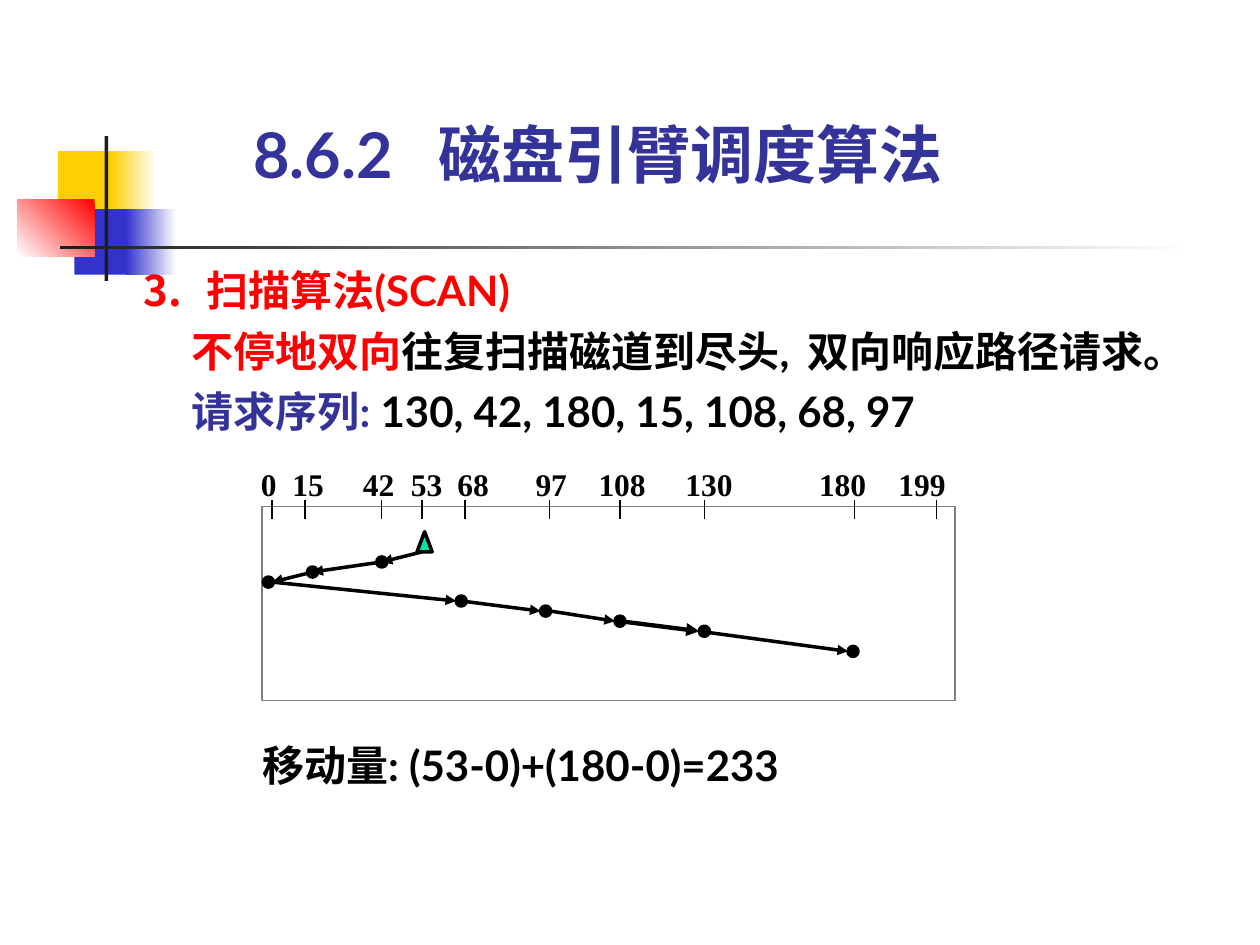
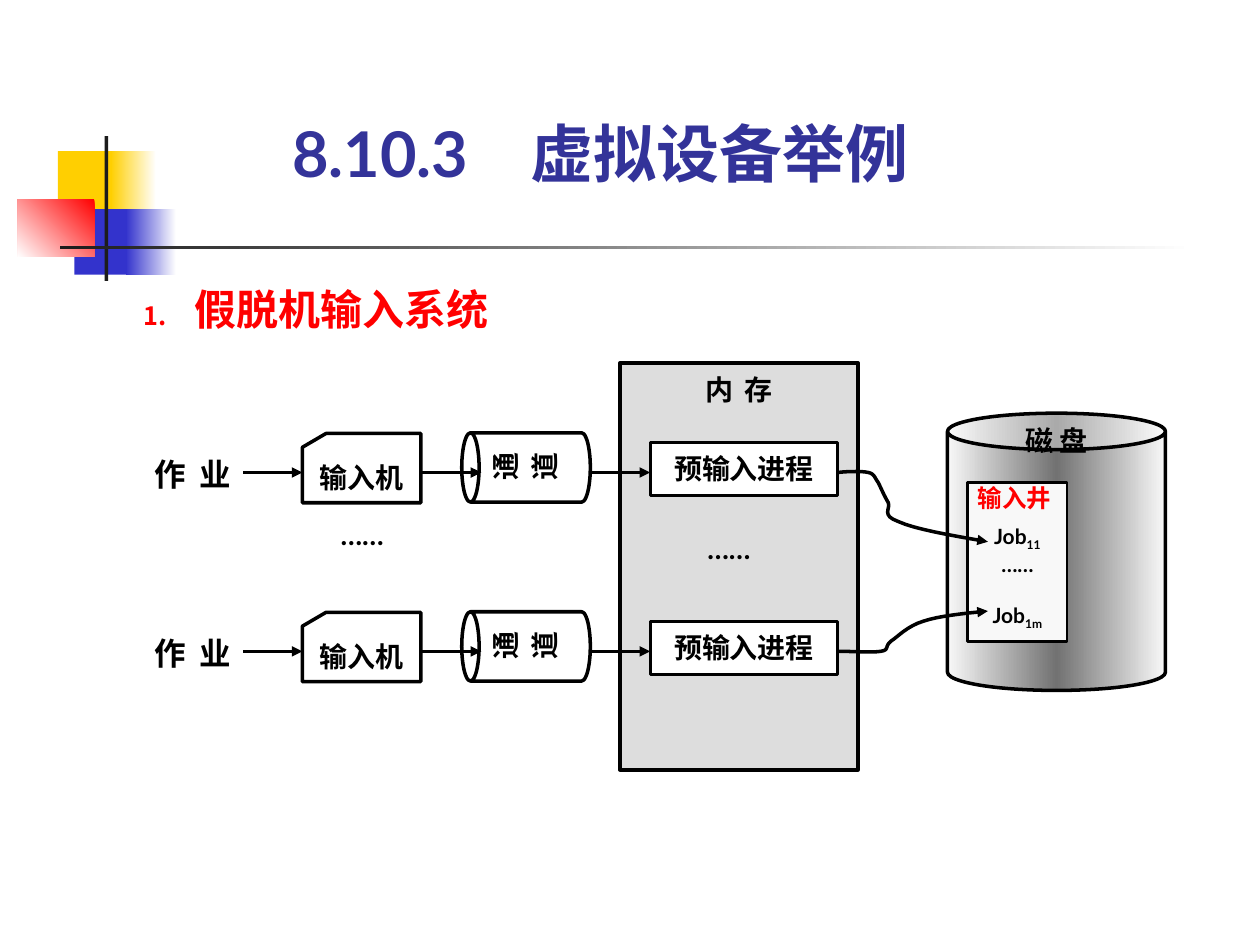
from copy import deepcopy

from lxml import etree
from pptx import Presentation
from pptx.dml.color import RGBColor
from pptx.enum.shapes import MSO_CONNECTOR, MSO_SHAPE
from pptx.enum.text import MSO_ANCHOR, MSO_AUTO_SIZE, PP_ALIGN
from pptx.oxml.ns import qn
from pptx.util import Inches, Pt

RECT, OVAL, TRIANGLE = MSO_SHAPE.RECTANGLE, MSO_SHAPE.OVAL, MSO_SHAPE.ISOSCELES_TRIANGLE
CAN, CARD = MSO_SHAPE.CAN, MSO_SHAPE.FLOWCHART_CARD
STRAIGHT = MSO_CONNECTOR.STRAIGHT
TOP, MIDDLE, BOTTOM = MSO_ANCHOR.TOP, MSO_ANCHOR.MIDDLE, MSO_ANCHOR.BOTTOM
LEFT, CENTER = PP_ALIGN.LEFT, PP_ALIGN.CENTER
GROW = MSO_AUTO_SIZE.SHAPE_TO_FIT_TEXT

FONT, TRACK_FONT = "Lato", "Times New Roman"
COLORS = {
    "white": "FFFFFF", "black": "000000", "yellow": "FFCF01", "blue": "3333CC",
    "red": "FF0000", "ink": "1C1C1C", "title": "333399", "frame": "808080",
    "head": "00E4A8", "memory": "DDDDDD", "pale": "F8F8F8", "steel": "727272",
}


def rgb(name):
    return RGBColor.from_string(COLORS[name])


# ---- Text ----

def add_runs(paragraph, runs, size, color="black", font=FONT):
    """Each run is a string or (text, {color, gap, baseline})."""
    for item in runs:
        text, look = (item, {}) if isinstance(item, str) else item
        run = paragraph.add_run()
        run.text = text
        run.font.name, run.font.size, run.font.bold = font, Pt(size), True
        run.font.color.rgb = rgb(look.get("color", color))
        properties = run.font._element
        if "gap" in look:
            properties.set("spc", str(int(look["gap"] * 100)))
        if "baseline" in look:
            properties.set("baseline", str(look["baseline"] * 1000))


def spaced(first, second, gap):
    return [first, (" ", {"gap": gap}), second]


def add_tabs(paragraph, stops):
    tab_list = etree.SubElement(paragraph._p.get_or_add_pPr(), qn("a:tabLst"))
    for stop in stops:
        etree.SubElement(tab_list, qn("a:tab"), pos=str(Inches(stop)), algn="l")


def indent(paragraph, left, first=0):
    properties = paragraph._p.get_or_add_pPr()
    properties.set("marL", str(Inches(left)))
    properties.set("indent", str(Inches(first)))


def add_number(paragraph, start, hanging, percent=100):
    indent(paragraph, hanging, -hanging)
    properties = paragraph._p.get_or_add_pPr()
    color = etree.SubElement(properties, qn("a:buClr"))
    etree.SubElement(color, qn("a:srgbClr"), val=COLORS["red"])
    etree.SubElement(properties, qn("a:buSzPct"), val=str(percent * 1000))
    etree.SubElement(properties, qn("a:buAutoNum"), type="arabicPeriod", startAt=str(start))


def set_frame(frame, insets=(0, 0, 0, 0), anchor=TOP, wrap=True):
    frame.margin_left, frame.margin_top, frame.margin_right, frame.margin_bottom = map(Inches, insets)
    frame.vertical_anchor, frame.word_wrap = anchor, wrap


def add_text(slide, at, runs, size, color="black", align=LEFT, anchor=TOP, font=FONT, tabs=()):
    frame = slide.shapes.add_textbox(*map(Inches, at)).text_frame
    set_frame(frame, anchor=anchor)
    frame.auto_size = GROW
    paragraph = frame.paragraphs[0]
    paragraph.alignment = align
    if tabs:
        add_tabs(paragraph, tabs)
    add_runs(paragraph, runs, size, color, font)
    return frame


def add_label(slide, left, top, runs, size=16, width=0.63):
    add_text(slide, (left, top, width, 0.27), runs, size, align=CENTER)


# ---- Shapes and lines ----

def set_gradient(shape, colors, angle):
    shape.fill.gradient()
    shape.fill.gradient_angle = angle
    stops = shape._element.spPr.find(qn("a:gradFill")).find(qn("a:gsLst"))
    while len(stops) < len(colors):
        stops.insert(1, deepcopy(stops[0]))
    for i, (stop, color) in enumerate(zip(shape.fill.gradient_stops, colors)):
        stop.position = i / (len(colors) - 1)
        stop.color.rgb = rgb(color)


def add_block(slide, kind, at, fill=None, line=None, width=2, angle=180, adjust=None):
    """A tuple of colours as fill makes a gradient."""
    shape = slide.shapes.add_shape(kind, *map(Inches, at))
    shape.shadow.inherit = False
    if adjust is not None:
        shape.adjustments[0] = adjust
    if isinstance(fill, tuple):
        set_gradient(shape, fill, angle)
    elif fill:
        shape.fill.solid()
        shape.fill.fore_color.rgb = rgb(fill)
    else:
        shape.fill.background()
    if line:
        shape.line.color.rgb = rgb(line)
        shape.line.width = Pt(width)
    else:
        shape.line.fill.background()
    return shape


def add_caption(shape, runs, insets=(0, 0, 0, 0), size=16):
    frame = shape.text_frame
    set_frame(frame, insets, MIDDLE, wrap=False)
    frame.paragraphs[0].alignment = CENTER
    add_runs(frame.paragraphs[0], runs, size)
    return frame


def add_arrowhead(shape):
    etree.SubElement(shape.line._get_or_add_ln(), qn("a:tailEnd"), type="triangle")


def add_line(slide, start, end, width=2, arrow=True):
    line = slide.shapes.add_connector(STRAIGHT, *map(Inches, start + end))
    line.line.color.rgb = rgb("black")
    line.line.width = Pt(width)
    if arrow:
        add_arrowhead(line)
    etree.SubElement(line._element.spPr, qn("a:effectLst"))


def bezier(p0, p1, p2, p3, t):
    s = 1 - t
    return tuple(s**3 * a + 3 * s * s * t * b + 3 * s * t * t * c + t**3 * d
                 for a, b, c, d in zip(p0, p1, p2, p3))


def add_curve(slide, points, steps=8):
    """Points are a start followed by three points for each cubic segment."""
    path = [bezier(*points[i:i + 4], step / steps)
            for i in range(0, len(points) - 1, 3) for step in range(1, steps + 1)]
    builder = slide.shapes.build_freeform(*map(Inches, points[0]))
    builder.add_line_segments([(Inches(x), Inches(y)) for x, y in path], close=False)
    curve = builder.convert_to_shape()
    curve.shadow.inherit = False
    curve.fill.background()
    curve.line.color.rgb = rgb("black")
    curve.line.width = Pt(2)
    add_arrowhead(curve)


# ---- Shared slide look ----

def add_themed_slide(deck, title_at, title, title_tab):
    slide = deck.slides.add_slide(deck.slide_layouts[6])
    for at, fill, angle in (
        ((0.46, 1.2, 0.48, 0.52), "yellow", 0),
        ((0.88, 1.2, 0.36, 0.52), ("white", "yellow"), 180),
        ((0.59, 1.66, 0.46, 0.52), "blue", 0),
        ((1, 1.66, 0.4, 0.52), ("white", "blue"), 180),
        ((0.14, 1.58, 0.61, 0.46), ("red", "white"), 225),
        ((0.83, 1.08, 0.03, 1.15), "ink", 0),
        ((0.48, 1.95, 9, 0.03), ("white", "ink"), 180),
    ):
        add_block(slide, RECT, at, fill, angle=angle)
    add_text(slide, title_at, [title], 36, "title", anchor=BOTTOM, tabs=[title_tab])
    return slide


# ---- Slide: SCAN disk scheduling ----

def build_scan(deck):
    slide = add_themed_slide(deck, (2.01, 0.92, 5.75, 0.6), "8.6.2\t磁盘引臂调度算法", 1.47)

    # Description
    frame = slide.shapes.add_textbox(*map(Inches, (1.14, 2.02, 8.51, 1.44))).text_frame
    set_frame(frame)
    lines = (
        [("扫描算法(SCAN)", {"color": "red"})],
        [("不停地双向", {"color": "red"})] + spaced("往复扫描磁道到尽头,", "双向响应路径请求。", 4.6),
        [("请求序列:", {"color": "title"}), " 130, 42, 180, 15, 108, 68, 97"],
    )
    for i, runs in enumerate(lines):
        paragraph = frame.add_paragraph() if i else frame.paragraphs[0]
        if i:
            indent(paragraph, 0.38)
        else:
            add_number(paragraph, 3, 0.5)
        paragraph.line_spacing = 1.2
        add_runs(paragraph, runs, 24)
    movement = add_text(slide, (2.08, 5.79, 4.89, 0.48), ["移动量: (53-0)+(180-0)=233"], 24)
    movement.paragraphs[0].line_spacing = 1.2

    # Track scale
    add_block(slide, RECT, (2.08, 4.02, 5.5, 1.54), line="frame", width=0.75)
    tracks = (0, 15, 42, 53, 68, 97, 108, 130, 180, 199)
    add_text(slide, (2.07, 3.69, 5.49, 0.3), ["\t".join(map(str, tracks))], 18, font=TRACK_FONT,
             tabs=(0.25, 0.81, 1.19, 1.56, 2.18, 2.68, 3.37, 4.43, 5.06))
    for x in (2.16, 2.42, 3.03, 3.35, 3.69, 4.36, 4.92, 5.59, 6.78, 7.43):
        add_line(slide, (x, 3.97), (x, 4.12), 0.75, arrow=False)

    # Head movement: dot centre, arrow tip, start of the next arrow, height
    add_block(slide, TRIANGLE, (3.31, 4.22, 0.12, 0.16), "head", "black")
    start = (3.35, 4.38)
    for dot, tip, leave, y in (
        (3.03, 3.03, 3.03, 4.46), (2.48, 2.48, 2.48, 4.54), (2.13, 2.16, 2.16, 4.62),
        (3.66, 3.62, 3.66, 4.77), (4.33, 4.29, 4.37, 4.85), (4.92, 4.88, 4.92, 4.93),
        (5.59, 5.55, 5.55, 5.01), (6.77, 6.73, 6.77, 5.17),
    ):
        add_line(slide, start, (tip, y), 2.5 if dot == 5.59 else 2)
        add_block(slide, OVAL, (dot - 0.04, y - 0.04, 0.08, 0.08), "black", "black")
        start = (leave, y)


# ---- Slide: spooled input ----

def add_input_lane(slide, drop):
    add_label(slide, 1.06, 3.61 + drop, spaced("作", "业", 3.5), 18, 0.94)
    card = add_block(slide, CARD, (2.4, 3.44 + drop, 0.94, 0.55), line="black")
    add_caption(card, ["输入机"], (0.1, 0.08, 0.1, 0.05))
    channel = add_block(slide, CAN, (3.9, 3.2 + drop, 0.55, 1.02), line="black", adjust=0.25)
    channel.rotation = 270
    frame = add_caption(channel, spaced("通", "道", 3), (0.05, 0.1, 0.05, 0.1))
    frame._txBody.bodyPr.set("vert", "eaVert")
    process = add_block(slide, RECT, (5.16, 3.51 + drop, 1.49, 0.42), "white", "black", 1.75)
    add_caption(process, ["预输入进程"])
    for x in (1.93, 3.35, 4.69):
        add_line(slide, (x, 3.75 + drop), (x + 0.47, 3.75 + drop))


def build_spooling(deck):
    slide = add_themed_slide(deck, (2.32, 0.91, 5.43, 0.6), "8.10.3\t虚拟设备举例", 1.89)
    heading = add_text(slide, (1.14, 2.25, 3.15, 0.4), ["假脱机输入系统"], 24, "red")
    add_number(heading.paragraphs[0], 1, 0.4, 60)

    # Disk with its input well
    add_block(slide, CAN, (7.52, 3.28, 1.73, 2.2), ("pale", "steel", "pale"), "black", adjust=0.167)
    add_label(slide, 8.07, 3.36, ["磁 盘"])
    well = add_block(slide, RECT, (7.68, 3.83, 0.79, 1.26), "pale", "black", 1.5)
    frame = add_caption(well, ["Job", ("11", {"baseline": -25})], (0.1, 0.29, 0.1, 0.05), 12)
    for runs, before in ((["……"], 0), (["Job", ("1m", {"baseline": -25})], 14.4)):
        paragraph = frame.add_paragraph()
        paragraph.alignment = CENTER
        paragraph.space_before = Pt(before)
        add_runs(paragraph, runs, 12)
    add_text(slide, (7.76, 3.83, 0.63, 0.23), ["输入井"], 14, "red")

    # Memory and the input lanes
    add_block(slide, RECT, (4.92, 2.88, 1.89, 3.23), "memory", "black")
    add_label(slide, 5.55, 2.96, spaced("内", "存", 3))
    for drop in (0, 1.42):
        add_input_lane(slide, drop)
    add_label(slide, 5.47, 4.22, ["……"])
    add_label(slide, 2.56, 4.11, ["……"])

    # Transfers into the well
    add_curve(slide, [(6.65, 3.75), (6.75, 3.74), (6.84, 3.74), (6.89, 3.75), (6.94, 3.76),
                      (6.94, 3.79), (6.97, 3.83), (6.99, 3.87), (7.02, 3.94), (7.05, 3.99),
                      (7.07, 4.04), (6.99, 4.09), (7.13, 4.14), (7.26, 4.2), (7.55, 4.25), (7.84, 4.3)])
    add_curve(slide, [(6.65, 5.17), (6.79, 5.17), (6.92, 5.18), (6.99, 5.17), (7.06, 5.16),
                      (7.02, 5.13), (7.07, 5.09), (7.13, 5.05), (7.2, 4.97), (7.33, 4.93),
                      (7.45, 4.89), (7.64, 4.87), (7.84, 4.85)])


def main():
    deck = Presentation()
    deck.slide_width, deck.slide_height = Inches(10), Inches(7.5)
    build_scan(deck)
    build_spooling(deck)
    deck.save("out.pptx")


if __name__ == "__main__":
    main()
